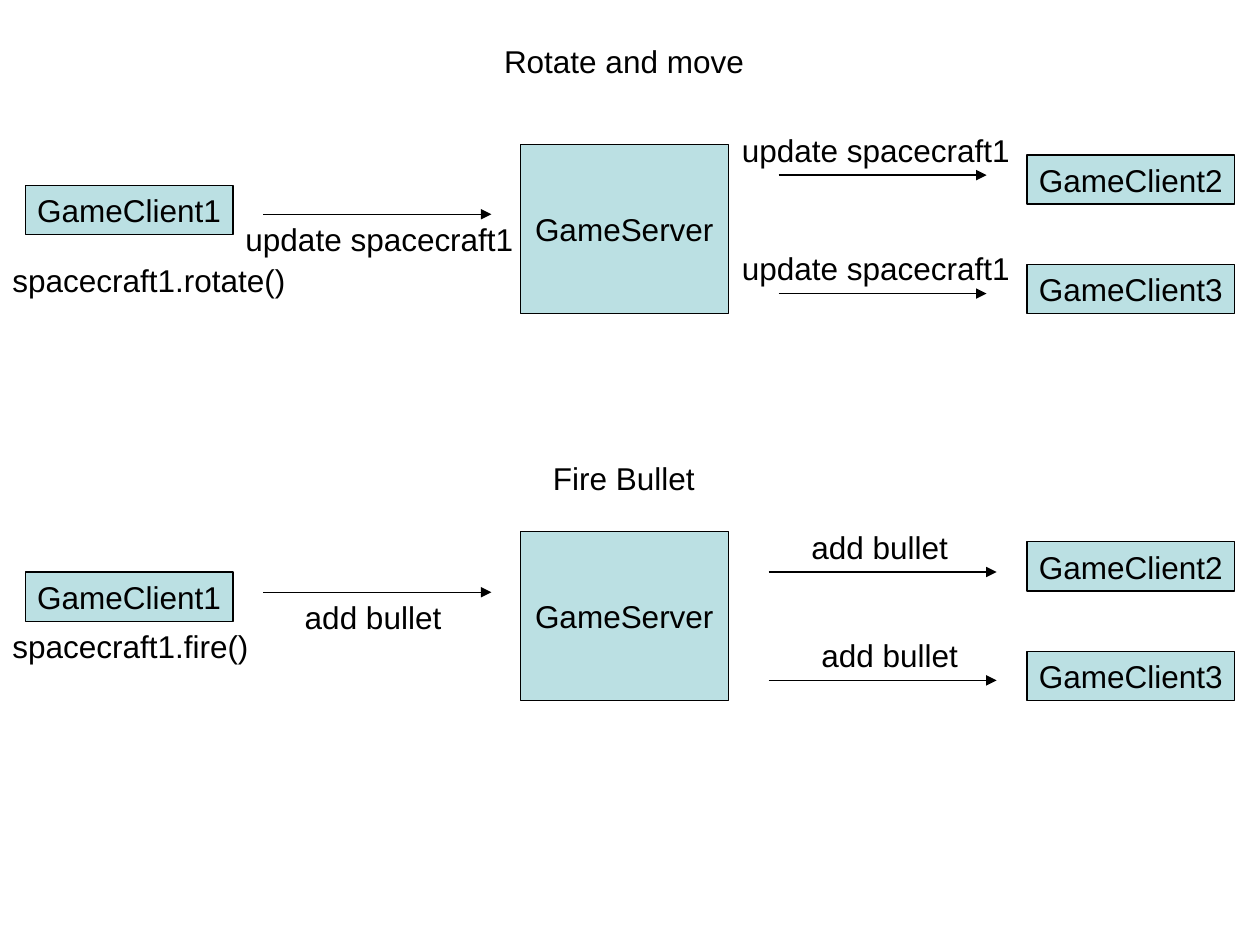
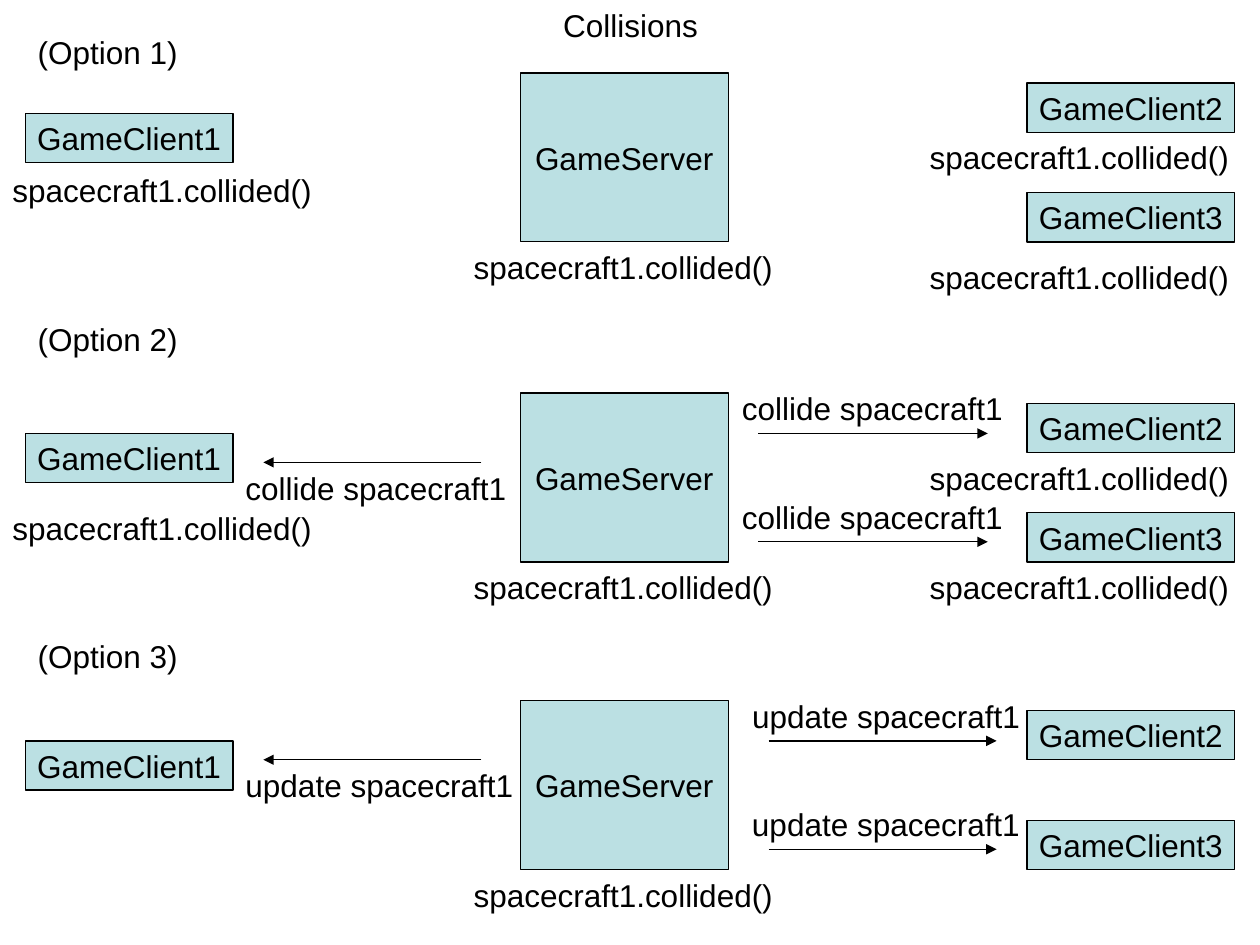
from dataclasses import dataclass

from lxml import etree
from pptx import Presentation
from pptx import util as u
from pptx.dml.color import RGBColor
from pptx.enum import shapes, text
from pptx.oxml.ns import qn

PX = 9144  # EMU, 100 px to the inch
COLORS = {"box": "BBE0E3", "ink": "000000", "page": "FFFFFF"}
FONT, FONT_PT, LINE_PT = "Arial", 18, 0.75
LABEL_H = 40
BOX_W, CLIENT_H, SERVER_H = 165, 39, 134
SERVER_X, CLIENT1_X, OTHERS_X = 413, 20, 815
CLIENT1_DY, CLIENT2_DY, CLIENT3_DY = 32, 8, 95
COLLIDED = "spacecraft1.collided()"


@dataclass(frozen=True)
class Label:
    """Text at x; y counts from the top of the scene's server."""
    text: str
    x: int
    y: int
    w: int


@dataclass(frozen=True)
class Message:
    """Arrow from x1 to x2 with its caption above or below it."""
    text: str
    x1: int
    x2: int
    y: int
    caption_x: int
    caption_w: int
    below: bool = False


@dataclass(frozen=True)
class Scene:
    """A server and three clients; top is the top of the server."""
    top: int
    messages: tuple[Message, ...]
    labels: tuple[Label, ...]


@dataclass(frozen=True)
class Page:
    title: Label
    scenes: tuple[Scene, ...]


def collided_under_server() -> Label:
    return Label(COLLIDED, 366, SERVER_H, 272)


def collided_under_others(*ys: int) -> tuple[Label, ...]:
    return tuple(Label(COLLIDED, 728, y, 272) for y in ys)


def option(number: int, y: int) -> Label:
    return Label(f"(Option {number})", 20, y, 221)


PAGES = (
    Page(Label("Rotate and move", 390, 28, 212), (
        Scene(115, (
            Message("update spacecraft1", 209, 390, 55, 185, 236, True),
            Message("update spacecraft1", 618, 783, 24, 579, 236),
            Message("update spacecraft1", 618, 783, 118, 579, 236),
        ), (Label("spacecraft1.rotate()", 0, 87, 244),)),
        Scene(422, (
            Message("add bullet", 209, 390, 48, 232, 165, True),
            Message("add bullet", 610, 791, 32, 634, 165),
            Message("add bullet", 610, 791, 118, 642, 165),
        ), (Label("Fire Bullet", 429, -63, 142),
            Label("spacecraft1.fire()", 0, 71, 244))),
    )),
    Page(Label("Collisions", 437, 0, 173), (
        Scene(58, (), (
            option(1, -37), Label(COLLIDED, 0, 73, 272),
            collided_under_server(), *collided_under_others(47, 142))),
        Scene(312, (
            Message("collide spacecraft1", 382, 209, 55, 185, 244, True),
            Message("collide spacecraft1", 602, 784, 32, 579, 252),
            Message("collide spacecraft1", 602, 784, 118, 579, 236),
        ), (option(2, -63), Label(COLLIDED, 0, 87, 272),
            collided_under_server(), *collided_under_others(47, 134))),
        Scene(556, (
            Message("update spacecraft1", 382, 209, 47, 185, 244, True),
            Message("update spacecraft1", 610, 791, 32, 587, 252),
            Message("update spacecraft1", 610, 791, 118, 587, 236),
        ), (option(3, -55), collided_under_server())),
    )),
)


def px(*values: int) -> list[u.Emu]:
    return [u.Emu(v * PX) for v in values]


def color(name: str) -> RGBColor:
    return RGBColor.from_string(COLORS[name])


def write(sp, words: str, align, anchor, wrap: bool) -> None:
    tf = sp.text_frame
    tf.text = words
    tf.word_wrap = wrap
    tf.vertical_anchor = anchor
    tf.margin_left, tf.margin_right, tf.margin_top, tf.margin_bottom = px(10, 10, 5, 5)
    p = tf.paragraphs[0]
    p.alignment = align
    p.font.name, p.font.size = FONT, u.Pt(FONT_PT)
    p.font.color.rgb = color("ink")


def write_label(sp, words: str) -> None:
    write(sp, words, text.PP_ALIGN.LEFT, text.MSO_ANCHOR.TOP, True)
    sp.text_frame.auto_size = text.MSO_AUTO_SIZE.SHAPE_TO_FIT_TEXT


def add_label(slide, words: str, x: int, y: int, w: int) -> None:
    write_label(slide.shapes.add_textbox(*px(x, y, w, LABEL_H)), words)


def set_title(slide, title: Label) -> None:
    sp = slide.shapes.title
    sp.left, sp.top, sp.width, sp.height = px(title.x, title.y, title.w, LABEL_H)
    write_label(sp, title.text)


def add_box(slide, name: str, x: int, y: int, h: int) -> None:
    sp = slide.shapes.add_shape(shapes.MSO_SHAPE.RECTANGLE, *px(x, y, BOX_W, h))
    sp.shadow.inherit = False
    sp.fill.solid()
    sp.fill.fore_color.rgb = color("box")
    sp.line.color.rgb = color("ink")
    sp.line.width = u.Pt(LINE_PT)
    write(sp, name, text.PP_ALIGN.CENTER, text.MSO_ANCHOR.MIDDLE, False)


def add_message(slide, m: Message, top: int) -> None:
    y = top + m.y
    arrow = slide.shapes.add_connector(
        shapes.MSO_CONNECTOR.STRAIGHT, *px(m.x1, y, m.x2, y))
    arrow.line.color.rgb = color("ink")
    arrow.line.width = u.Pt(LINE_PT)
    etree.SubElement(arrow.line._get_or_add_ln(), qn("a:tailEnd"), type="triangle")
    etree.SubElement(arrow._element.spPr, qn("a:effectLst"))
    caption_y = y if m.below else y - LABEL_H
    add_label(slide, m.text, m.caption_x, caption_y, m.caption_w)


def add_scene(slide, scene: Scene) -> None:
    top = scene.top
    add_box(slide, "GameServer", SERVER_X, top, SERVER_H)
    clients = ((CLIENT1_X, CLIENT1_DY), (OTHERS_X, CLIENT2_DY), (OTHERS_X, CLIENT3_DY))
    for number, (x, dy) in enumerate(clients, 1):
        add_box(slide, f"GameClient{number}", x, top + dy, CLIENT_H)
    for message in scene.messages:
        add_message(slide, message, top)
    for label in scene.labels:
        add_label(slide, label.text, label.x, top + label.y, label.w)


def main() -> None:
    prs = Presentation()
    prs.slide_width, prs.slide_height = px(1000, 750)
    title_only = prs.slide_layouts.get_by_name("Title Only")
    for page in PAGES:
        slide = prs.slides.add_slide(title_only)
        slide.background.fill.solid()
        slide.background.fill.fore_color.rgb = color("page")
        set_title(slide, page.title)
        for scene in page.scenes:
            add_scene(slide, scene)
    prs.save("out.pptx")


if __name__ == "__main__":
    main()
